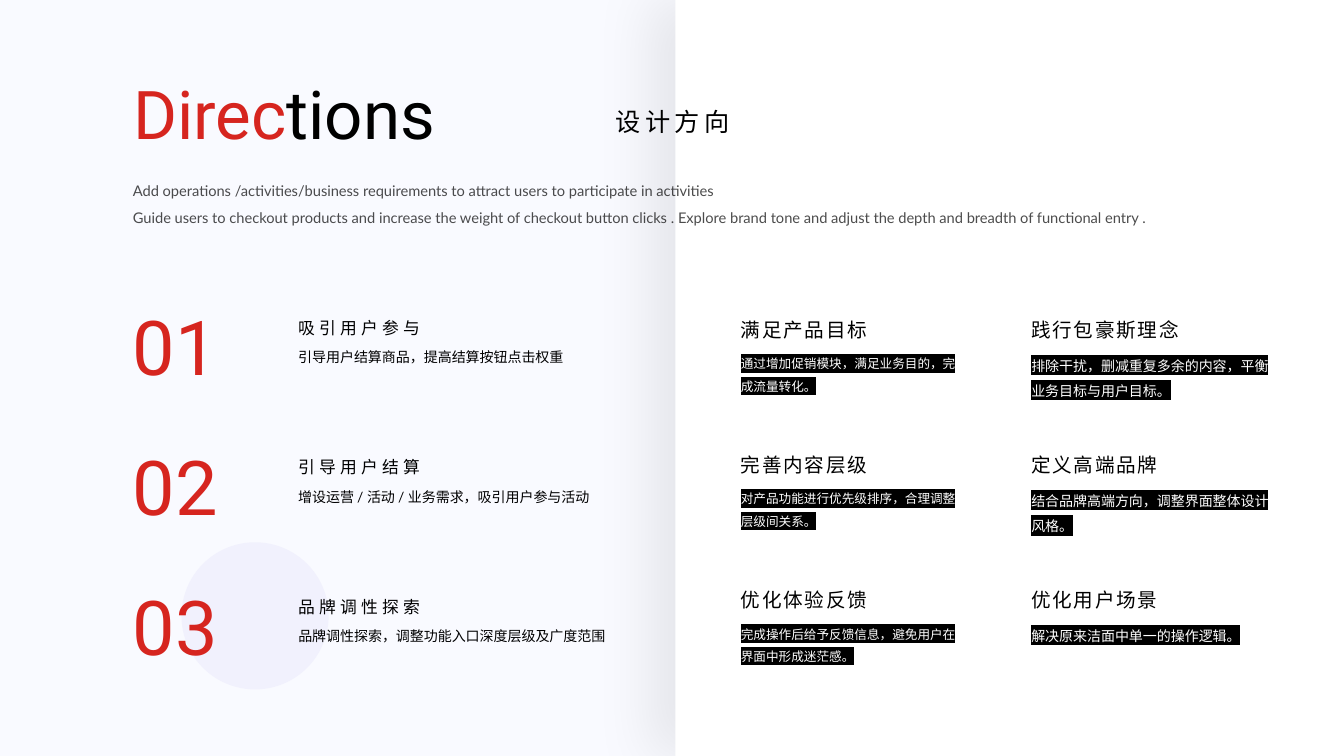
from dataclasses import dataclass

from lxml.etree import SubElement
from pptx import Presentation
from pptx.dml.color import RGBColor
from pptx.enum.shapes import MSO_SHAPE
from pptx.enum.text import MSO_ANCHOR, MSO_AUTO_SIZE, PP_ALIGN
from pptx.oxml import parse_xml
from pptx.oxml.ns import nsdecls, qn
from pptx.util import Inches, Pt

# Content
TITLE = ("Direc", "tions")
SUBTITLE = "设计方向"
INTRO = [
    "Add operations /activities/business requirements to attract users to participate in activities",
    "Guide users to checkout products and increase the weight of checkout button clicks . "
    "Explore brand tone and adjust the depth and breadth of functional entry .",
]
# number, heading, detail, detail width
DIRECTIONS = [
    ("01", "吸引用户参与", "引导用户结算商品，提高结算按钮点击权重", 2.87),
    ("02", "引导用户结算", "增设运营 / 活动 / 业务需求，吸引用户参与活动", 3.13),
    ("03", "品牌调性探索", "品牌调性探索，调整功能入口深度层级及广度范围", 3.29),
]
PRODUCT_GOALS = [
    ("满足产品目标", "通过增加促销模块，满足业务目的，完成流量转化。"),
    ("完善内容层级", "对产品功能进行优先级排序，合理调整层级间关系。"),
    ("优化体验反馈", "完成操作后给予反馈信息，避免用户在界面中形成迷茫感。"),
]
BRAND_GOALS = [
    ("践行包豪斯理念", "排除干扰，删减重复多余的内容，平衡业务目标与用户目标。"),
    ("定义高端品牌", "结合品牌高端方向，调整界面整体设计风格。"),
    ("优化用户场景", "解决原来洁面中单一的操作逻辑。"),
]


@dataclass(frozen=True)
class Theme:
    background: str = "F9FAFF"
    circle: str = "F1F1FD"
    red: str = "D6251F"
    black: str = "000000"
    white: str = "FFFFFF"
    display_font: str = "Roboto"
    body_font: str = "Lato"
    goal_font: str = "Karla"
    title_size: float = 48
    number_size: float = 54
    subtitle_size: float = 18
    goal_size: float = 14
    heading_size: float = 12
    intro_size: float = 10.5
    detail_size: float = 10
    small_size: float = 9


THEME = Theme()

# Layout: left margin, row starts and row pitches
MARGIN = 1.22
NUMBER_TOP, NUMBER_PITCH = 2.93, 1.385
GOAL_TOP, GOAL_PITCH = 3.1, 1.34
# left, detail width, detail height, detail size, goals
GOAL_COLUMNS = [
    (7.25, 2.4, 0.54, THEME.small_size, PRODUCT_GOALS),
    (10.13, 2.61, 0.58, THEME.detail_size, BRAND_GOALS),
]


def add_span(para, text, size, font, color, spacing=0, alpha=None, highlight=None):
    span = para.add_run()
    span.text = text
    span.font.size = Pt(size)
    span.font.name = font
    span.font.color.rgb = RGBColor.from_string(color)
    properties = span.font._element
    fill = properties.find(qn("a:solidFill"))
    if spacing:
        properties.set("spc", str(round(spacing * 100)))
    if alpha:
        SubElement(fill[0], qn("a:alpha")).set("val", str(alpha * 1000))
    if highlight:
        fill.addnext(parse_xml(
            f'<a:highlight {nsdecls("a")}><a:srgbClr val="{highlight}"/></a:highlight>'))


def add_text(page, left, top, width, height, lines, size, font, color,
             wrap=True, line_spacing=None, **style):
    box = page.shapes.add_textbox(Inches(left), Inches(top), Inches(width), Inches(height))
    frame = box.text_frame
    frame.word_wrap = wrap
    frame.auto_size = MSO_AUTO_SIZE.SHAPE_TO_FIT_TEXT
    for index, line in enumerate(lines):
        para = frame.add_paragraph() if index else frame.paragraphs[0]
        para.line_spacing = line_spacing
        add_span(para, line, size, font, color, **style)


def add_plain_shape(page, kind, left, top, width, height, color):
    shape = page.shapes.add_shape(kind, Inches(left), Inches(top), Inches(width), Inches(height))
    shape.shadow.inherit = False
    shape.fill.solid()
    shape.fill.fore_color.rgb = RGBColor.from_string(color)
    shape.line.fill.background()
    return shape


def add_title(page):
    title = page.shapes.title
    title.left, title.top = Inches(MARGIN), Inches(0.67)
    title.width, title.height = Inches(5.59), Inches(0.91)
    frame = title.text_frame
    frame.auto_size = MSO_AUTO_SIZE.NONE
    frame.vertical_anchor = MSO_ANCHOR.TOP
    para = frame.paragraphs[0]
    para.alignment = PP_ALIGN.LEFT
    for text, color in zip(TITLE, (THEME.red, THEME.black)):
        add_span(para, text, THEME.title_size, THEME.display_font, color)


def add_panel(page):
    panel = add_plain_shape(page, MSO_SHAPE.RECTANGLE, 6.7, 0, 6.64, 7.5, THEME.white)
    effects = panel._element.spPr.find(qn("a:effectLst"))
    effects.append(parse_xml(
        f'<a:outerShdw {nsdecls("a")} blurRad="{Pt(41)}" dist="{Pt(18)}" dir="10800000" '
        f'algn="r" rotWithShape="0"><a:srgbClr val="{THEME.black}">'
        '<a:alpha val="8000"/></a:srgbClr></a:outerShdw>'))


def add_direction(page, row, number, heading, detail, width):
    top = NUMBER_TOP + row * NUMBER_PITCH
    add_text(page, MARGIN, top, 1.97, 1.01, [number],
             THEME.number_size, THEME.display_font, THEME.red)
    add_text(page, 2.86, top + 0.17, 1.46, 0.3, [heading],
             THEME.heading_size, THEME.body_font, THEME.black, wrap=False, spacing=3)
    add_text(page, 2.86, top + 0.48, width, 0.27, [detail],
             THEME.detail_size, THEME.body_font, THEME.black)


def add_goal(page, row, left, width, height, size, heading, detail):
    top = GOAL_TOP + row * GOAL_PITCH
    heading_width = 1.48 if len(heading) == 6 else 1.69
    add_text(page, left, top, heading_width, 0.34, [heading],
             THEME.goal_size, THEME.goal_font, THEME.black, wrap=False, spacing=1.2)
    add_text(page, left, top + 0.31, width, height, [detail], size, THEME.body_font,
             THEME.white, line_spacing=1.5, highlight=THEME.black)


def main():
    deck = Presentation()
    deck.slide_width, deck.slide_height = Inches(13.33), Inches(7.5)
    page = deck.slides.add_slide(deck.slide_layouts[5])
    page.background.fill.solid()
    page.background.fill.fore_color.rgb = RGBColor.from_string(THEME.background)

    # Backdrop
    add_plain_shape(page, MSO_SHAPE.OVAL, 1.8, 5.38, 1.46, 1.46, THEME.circle)
    add_panel(page)

    # Header
    add_title(page)
    add_text(page, 6.01, 1.01, 1.38, 0.4, [SUBTITLE], THEME.subtitle_size,
             THEME.body_font, THEME.black, wrap=False, spacing=3)
    add_text(page, MARGIN, 1.67, 11.38, 0.61, INTRO, THEME.intro_size,
             THEME.body_font, THEME.black, line_spacing=1.5, alpha=70)

    # Numbered directions
    for row, direction in enumerate(DIRECTIONS):
        add_direction(page, row, *direction)

    # Goals in two columns
    for left, width, height, size, goals in GOAL_COLUMNS:
        for row, (heading, detail) in enumerate(goals):
            add_goal(page, row, left, width, height, size, heading, detail)

    deck.save("out.pptx")


if __name__ == "__main__":
    main()
